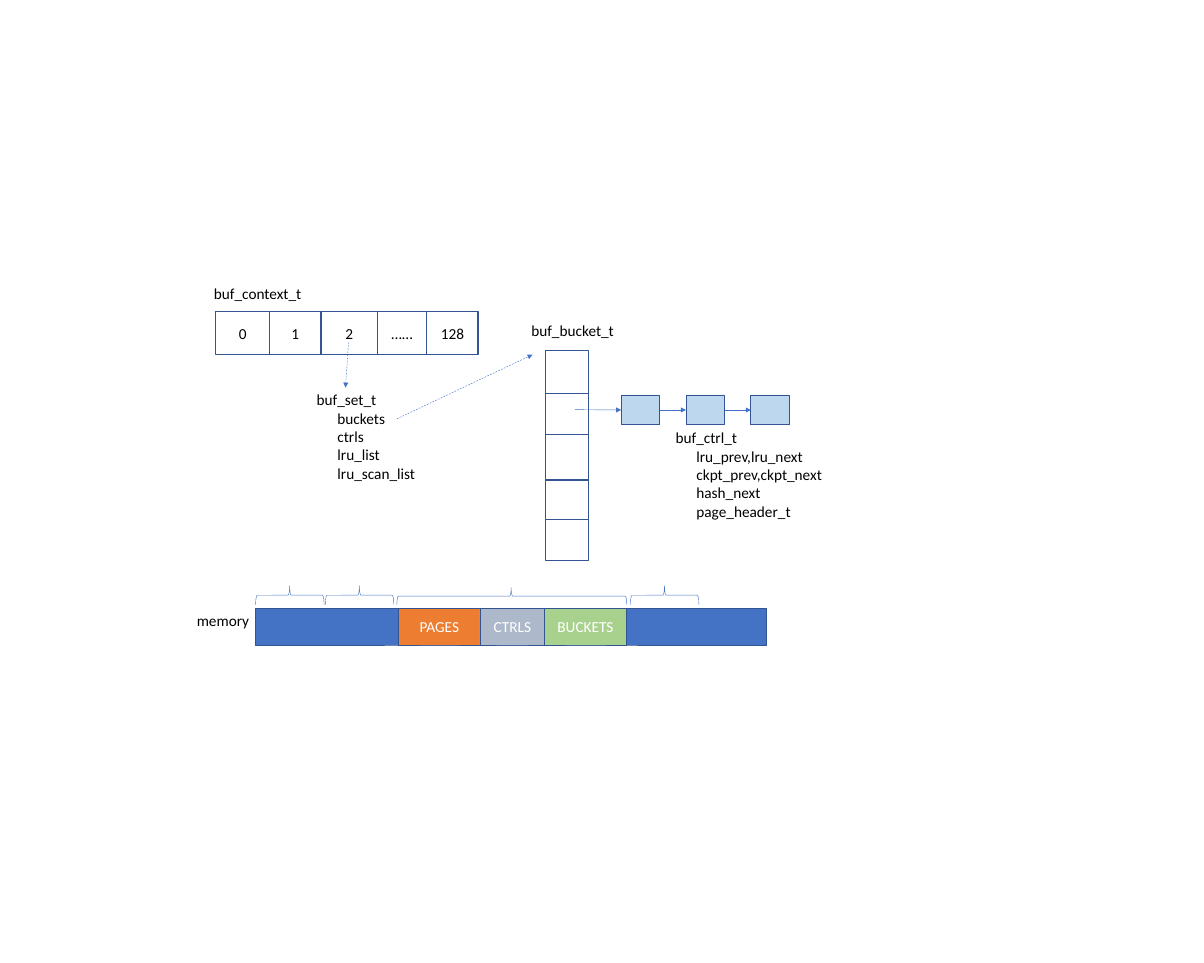
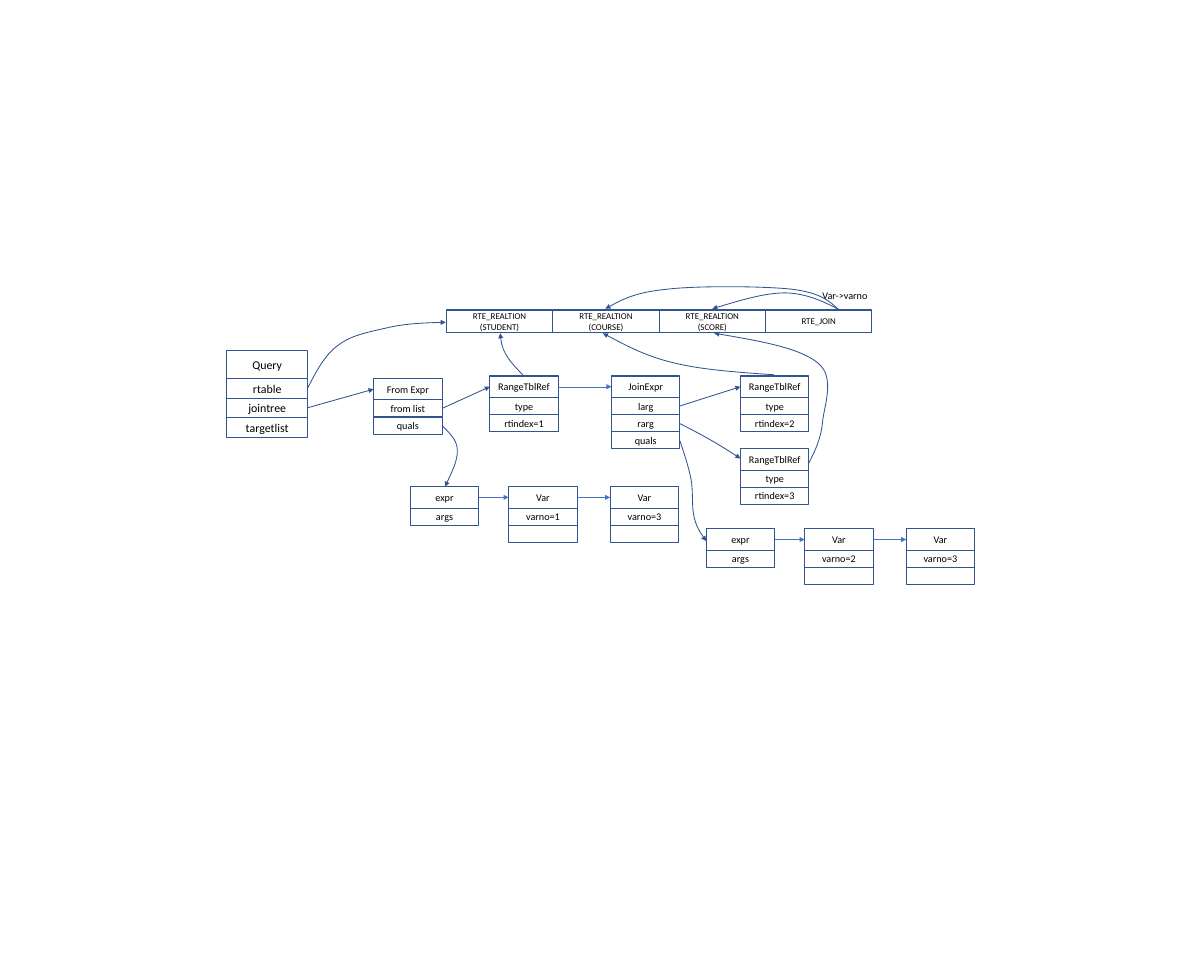
from dataclasses import dataclass
from itertools import pairwise

from lxml.etree import SubElement
from pptx import Presentation
from pptx.dml.color import RGBColor
from pptx.enum.dml import MSO_LINE
from pptx.enum.shapes import MSO_CONNECTOR, MSO_SHAPE
from pptx.enum.text import MSO_ANCHOR, PP_ALIGN
from pptx.oxml.ns import qn
from pptx.util import Inches, Pt


@dataclass(frozen=True)
class Theme:
    font: str = "Calibri"
    ink: str = "000000"
    white: str = "FFFFFF"
    outline: str = "325491"
    blue: str = "4472C4"
    pale_blue: str = "BDD7EE"
    orange: str = "ED7D31"
    gray: str = "ADB9CA"
    green: str = "A9D18E"
    label: float = 18
    query: float = 14
    node: float = 12
    relation: float = 10.5


THEME = Theme()
TOP, LEFT, BOTTOM, RIGHT = range(4)


def color(code):
    return RGBColor.from_string(code)


# Shared parts
def write(frame, lines, size, ink=THEME.ink, align=PP_ALIGN.LEFT, indent=0):
    """Write one paragraph per line; lines after the first take the indent."""
    for number, line in enumerate(lines):
        paragraph = frame.add_paragraph() if number else frame.paragraphs[0]
        paragraph.alignment = align
        if number and indent:
            paragraph._p.get_or_add_pPr().set("marL", str(Inches(indent)))
        run = paragraph.add_run()
        run.text = line
        run.font.name, run.font.size = THEME.font, Pt(size)
        run.font.color.rgb = color(ink)


def label(slide, left, top, width, height, lines, size=THEME.label):
    frame = slide.shapes.add_textbox(
        Inches(left), Inches(top), Inches(width), Inches(height)).text_frame
    frame.word_wrap = True
    write(frame, lines, size, indent=0.34)


def style(shape, line, weight, fill=None):
    shape.shadow.inherit = False
    if fill:
        shape.fill.solid()
        shape.fill.fore_color.rgb = color(fill)
    else:
        shape.fill.background()
    shape.line.color.rgb = color(line)
    shape.line.width = Pt(weight)


def cell(slide, left, top, width, height, lines=(), size=THEME.node,
         fill=None, ink=THEME.ink, weight=1.25):
    box = slide.shapes.add_shape(
        MSO_SHAPE.RECTANGLE, Inches(left), Inches(top), Inches(width), Inches(height))
    style(box, THEME.outline, weight, fill)
    frame = box.text_frame
    frame.margin_left = frame.margin_right = Inches(0.05)
    frame.margin_top = frame.margin_bottom = 0
    frame.vertical_anchor = MSO_ANCHOR.MIDDLE
    write(frame, lines, size, ink, PP_ALIGN.CENTER)
    return box


def add_head(line):
    SubElement(line._get_or_add_ln(), qn("a:tailEnd"), type="triangle") if hasattr(
        line, "_get_or_add_ln") else SubElement(line.get_or_add_ln(), qn("a:tailEnd"), type="triangle")


def arrow(slide, start, end, ink=THEME.blue, weight=0.5, dashed=False):
    """Each end is an (x, y) point or a (box, side) joint."""
    link = slide.shapes.add_connector(MSO_CONNECTOR.STRAIGHT, 0, 0, 0, 0)
    if isinstance(start[0], (int, float)):
        link.begin_x, link.begin_y = map(Inches, start)
    else:
        link.begin_connect(*start)
    if isinstance(end[0], (int, float)):
        link.end_x, link.end_y = map(Inches, end)
    else:
        link.end_connect(*end)
    link.line.color.rgb = color(ink)
    link.line.width = Pt(weight)
    if dashed:
        link.line.dash_style = MSO_LINE.DASH
    add_head(link)
    SubElement(link._element.spPr, qn("a:effectLst"))


def curve(slide, start, *controls):
    """Draw a curved arrow; every three points make one cubic segment."""
    builder = slide.shapes.build_freeform(*map(Inches, start))
    builder.add_line_segments([tuple(map(Inches, point)) for point in controls], close=False)
    shape = builder.convert_to_shape()
    route = shape._element.find(".//" + qn("a:path"))
    steps = route.findall(qn("a:lnTo"))
    for first in range(0, len(steps), 3):
        segment = SubElement(route, qn("a:cubicBezTo"))
        for step in steps[first:first + 3]:
            segment.append(step[0])
            route.remove(step)
    style(shape, THEME.outline, 1)
    add_head(shape)


# Buffer slide regions
def context_array(slide, left, top):
    label(slide, left - 0.13, top - 0.5, 2.67, 0.4, ["buf_context_t"])
    edges = [0, 0.88, 1.72, 2.64, 3.45, 4.29]
    for (start, end), index in zip(pairwise(edges), ["0", "1", "2", "……", "128"]):
        cell(slide, left + start, top, end - start, 0.7, [index], THEME.label, weight=1.5)


def bucket_column(slide, left, top):
    label(slide, left - 0.33, top - 0.53, 2.54, 0.4, ["buf_bucket_t"])
    for start, end in pairwise([0, 0.71, 1.38, 2.12, 2.77, 3.44]):
        cell(slide, left, top + start, 0.7, end - start, weight=1.5)


def control_chain(slide, left, top):
    boxes = [cell(slide, left + 1.06 * place, top, 0.63, 0.49,
                  fill=THEME.pale_blue, weight=1) for place in range(3)]
    arrow(slide, (left - 0.76, top + 0.24), (boxes[0], LEFT))
    for before, after in pairwise(boxes):
        arrow(slide, (before, RIGHT), (after, LEFT))
    label(slide, left + 0.79, top + 0.5, 2.85, 1.65,
          ["buf_ctrl_t", "lru_prev,lru_next", "ckpt_prev,ckpt_next",
           "hash_next", "page_header_t"])


def brace(slide, left, top, width, depth):
    shape = slide.shapes.add_shape(
        MSO_SHAPE.LEFT_BRACE, Inches(left + (width - depth) / 2),
        Inches(top + (depth - width) / 2), Inches(depth), Inches(width))
    shape.rotation = 90
    shape.adjustments[0], shape.adjustments[1] = 0.083, 0.503
    style(shape, THEME.blue, 0.5)


def memory_bar(slide, left, top):
    label(slide, left - 1.06, top, 1.2, 0.4, ["memory"])
    cell(slide, left, top, 8.36, 0.6, fill=THEME.blue, weight=1)
    for offset, width, name, fill in [
            (2.34, 1.33, "PAGES", THEME.orange),
            (3.67, 1.06, "CTRLS", THEME.gray),
            (4.73, 1.33, "BUCKETS", THEME.green)]:
        cell(slide, left + offset, top, width, 0.6, [name], THEME.label,
             fill, THEME.white, 1)
    for offset, width, depth in [(0, 1.12, 0.31), (1.14, 1.12, 0.31),
                                 (2.31, 3.76, 0.28), (6.13, 1.12, 0.31)]:
        brace(slide, left + offset, top - 0.06 - depth, width, depth)


def buffer_slide(slide):
    context_array(slide, 3.53, 5.1)
    label(slide, 5.08, 6.34, 2.32, 1.65,
          ["buf_set_t", "buckets", "ctrls", "lru_list", "lru_scan_list"])
    bucket_column(slide, 8.92, 5.73)
    arrow(slide, (5.7, 5.6), (5.65, 6.34), dashed=True)
    arrow(slide, (6.49, 6.85), (8.71, 5.8), dashed=True)
    control_chain(slide, 10.16, 6.46)
    memory_bar(slide, 4.18, 9.95)


# Query slide regions
def node(slide, left, top, title, *fields, width=1.12, head=0.35, row=0.28,
         size=THEME.node):
    """Stack a head cell and its field cells; return them from top to bottom."""
    boxes = [cell(slide, left, top, width, head, [title], size)]
    for place, field in enumerate(fields):
        boxes.append(cell(slide, left, top + head + row * place, width, row,
                          [field] if field else [], size))
    return boxes


def range_table(slide, left, top):
    width = 1.74
    entries = [["RTE_REALTION", f"({name})"] for name in ("STUDENT", "COURSE", "SCORE")]
    for place, lines in enumerate(entries + [["RTE_JOIN"]]):
        cell(slide, left + width * place, top, width, 0.37, lines, THEME.relation)
    label(slide, left + 6.05, top - 0.39, 1.05, 0.3, ["Var->varno"], THEME.node)


def expression_chain(slide, left, top, *variables):
    heads = [node(slide, left, top, "expr", "args")[0]]
    for offset, variable in zip((1.61, 3.27), variables):
        heads.append(node(slide, left + offset, top, "Var", variable, "")[0])
    for before, after in pairwise(heads):
        arrow(slide, (before, RIGHT), (after, LEFT))


def query_slide(slide):
    range_table(slide, 7.3, 5.07)
    query = node(slide, 3.71, 5.73, "Query", "rtable", "jointree", "targetlist",
                 width=1.32, head=0.46, row=0.32, size=THEME.query)
    source = node(slide, 6.11, 6.19, "From Expr", "from list", "quals")
    student = node(slide, 8.01, 6.15, "RangeTblRef", "type", "rtindex=1")
    join = node(slide, 10, 6.15, "JoinExpr", "larg", "rarg", "quals")
    course = node(slide, 12.11, 6.15, "RangeTblRef", "type", "rtindex=2")
    node(slide, 12.11, 7.34, "RangeTblRef", "type", "rtindex=3")
    expression_chain(slide, 6.71, 7.96, "varno=1", "varno=3")
    expression_chain(slide, 11.55, 8.65, "varno=2", "varno=3")

    # Straight links between nodes
    for start, end in [(query[2], source[0]), (source[1], student[0]),
                       (join[1], course[0])]:
        arrow(slide, (start, RIGHT), (end, LEFT), THEME.outline, 1)
    arrow(slide, (student[0], RIGHT), (join[0], LEFT))

    # Curved links: RTE_JOIN to COURSE and SCORE
    curve(slide, (13.71, 5.06), (13.56, 4.92), (13.42, 4.79), (12.95, 4.73),
          (12.49, 4.68), (11.42, 4.67), (10.91, 4.73),
          (10.4, 4.78), (10.15, 4.91), (9.9, 5.05))
    curve(slide, (13.72, 5.06), (13.46, 4.93), (13.19, 4.8), (12.85, 4.79),
          (12.51, 4.79), (12.08, 4.92), (11.65, 5.05))
    # rtable to the range table
    curve(slide, (5.03, 6.35), (5.17, 6.08), (5.31, 5.8), (5.54, 5.64),
          (5.76, 5.47), (6.09, 5.42), (6.38, 5.35),
          (6.67, 5.29), (6.98, 5.28), (7.29, 5.27))
    # rarg and both quals to their targets
    curve(slide, (11.12, 6.93), (11.44, 7.09), (11.75, 7.26), (12.11, 7.5))
    curve(slide, (11.12, 7.21), (11.19, 7.42), (11.26, 7.63), (11.3, 7.83),
          (11.34, 8.04), (11.31, 8.28), (11.35, 8.45),
          (11.39, 8.62), (11.47, 8.74), (11.55, 8.85))
    curve(slide, (7.23, 6.96), (7.35, 7.08), (7.47, 7.19), (7.48, 7.35),
          (7.49, 7.52), (7.38, 7.74), (7.28, 7.96))
    # Each RangeTblRef to its relation
    curve(slide, (8.55, 6.13), (8.44, 6.02), (8.33, 5.9), (8.27, 5.79),
          (8.21, 5.68), (8.19, 5.56), (8.18, 5.45))
    curve(slide, (12.66, 6.13), (12.08, 6.09), (11.5, 6.05), (11.04, 5.94),
          (10.57, 5.83), (10.22, 5.64), (9.86, 5.45))
    curve(slide, (13.22, 7.59), (13.32, 7.39), (13.42, 7.2), (13.45, 6.92),
          (13.47, 6.65), (13.67, 6.18), (13.38, 5.94),
          (13.08, 5.69), (12.38, 5.57), (11.68, 5.45))


def main():
    deck = Presentation()
    deck.slide_width, deck.slide_height = Inches(19.69), Inches(15.75)
    blank = deck.slide_layouts[6]
    for build in (buffer_slide, query_slide):
        build(deck.slides.add_slide(blank))
    deck.save("out.pptx")


if __name__ == "__main__":
    main()
